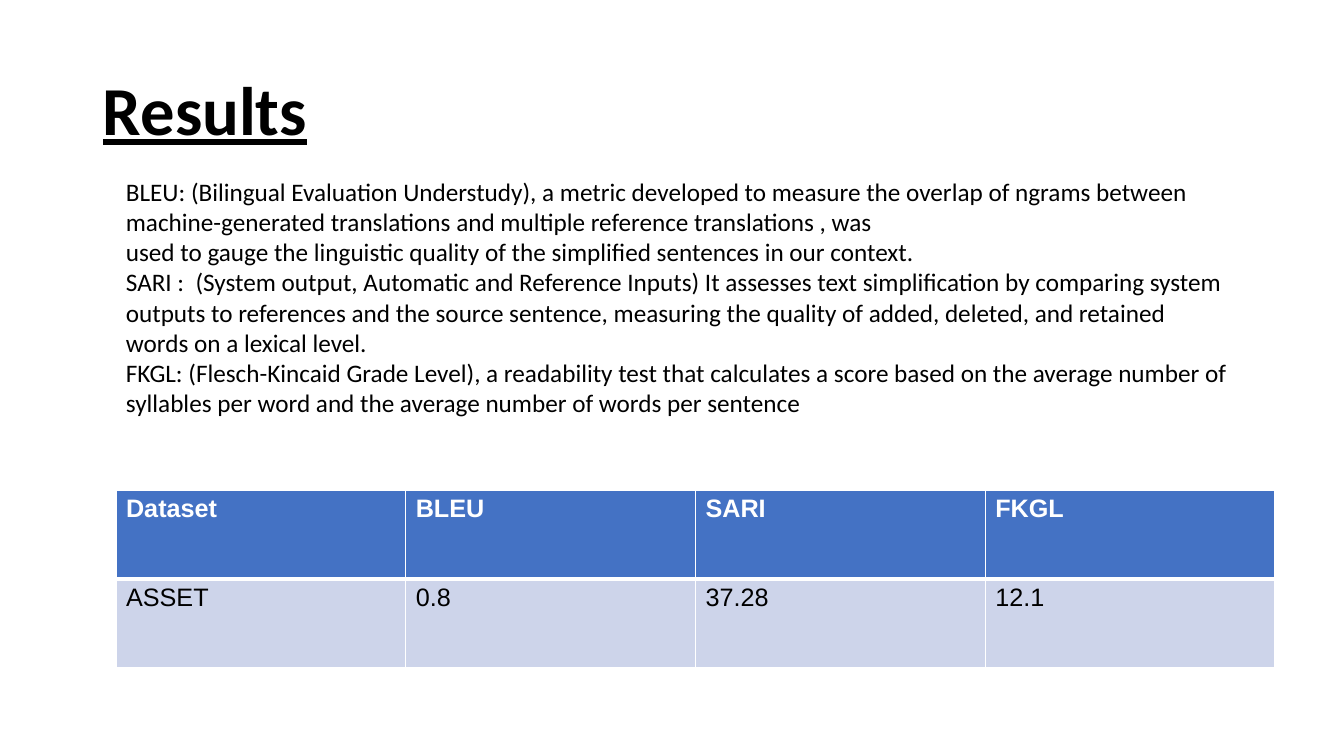
from lxml import etree
from pptx import Presentation, util as u
from pptx.dml.color import RGBColor
from pptx.enum import text
from pptx.oxml.ns import qn

TITLE = "Results"
METRICS = [
    "BLEU: (Bilingual Evaluation Understudy), a metric developed to measure the overlap of ngrams "
    "between machine-generated translations and multiple reference translations , was",
    "used to gauge the linguistic quality of the simplified sentences in our context.",
    "SARI :  (System output, Automatic and Reference Inputs) It assesses text simplification by "
    "comparing system outputs to references and the source sentence, measuring the quality of "
    "added, deleted, and retained words on a lexical level.",
    "FKGL: (Flesch-Kincaid Grade Level), a readability test that calculates a score based on the "
    "average number of syllables per word and the average number of words per sentence",
]
SCORES = [
    ["Dataset", "BLEU", "SARI", "FKGL"],
    ["ASSET", "0.8", "37.28", "12.1"],
]
COLORS = {"black": "000000", "white": "FFFFFF", "header": "4472C4", "body": "CDD4EA"}

SLIDE = (1344, 756)
TITLE_BOX = (93, 40, 1159, 146)
METRICS_BOX = (116, 171, 1125, 254)
TABLE_BOX = (116, 490, 1159, 178)
EMU_PER_PX = 12192000 / SLIDE[0]


def px(*lengths):
    return [u.Emu(round(n * EMU_PER_PX)) for n in lengths]


def write(tf, lines, size=18, font="Calibri", color="black", bold=False,
          underline=False, spacing=None):
    for i, line in enumerate(lines):
        p = tf.paragraphs[0] if i == 0 else tf.add_paragraph()
        p.line_spacing = spacing
        r = p.add_run()
        r.text = line
        r.font.size, r.font.name = u.Pt(size), font
        r.font.bold, r.font.underline = bold, underline
        r.font.color.rgb = RGBColor.from_string(COLORS[color])


def add_text(s, box, lines, anchor=text.MSO_ANCHOR.TOP, **fmt):
    tf = s.shapes.add_textbox(*px(*box)).text_frame
    tf.word_wrap = True
    tf.vertical_anchor = anchor
    write(tf, lines, **fmt)


def set_borders(cell, **widths):
    """Draw white cell borders; widths are points keyed by L, R, T and B."""
    tcPr = cell._tc.get_or_add_tcPr()
    for i, (side, width) in enumerate(widths.items()):
        ln = etree.Element(qn(f"a:ln{side}"), w=str(u.Pt(width)))
        fill = etree.SubElement(ln, qn("a:solidFill"))
        etree.SubElement(fill, qn("a:srgbClr"), val=COLORS["white"])
        tcPr.insert(i, ln)


def add_scores(s):
    table = s.shapes.add_table(len(SCORES), len(SCORES[0]), *px(*TABLE_BOX)).table
    for i, row in enumerate(SCORES):
        header = i == 0
        for j, value in enumerate(row):
            cell = table.cell(i, j)
            cell.fill.solid()
            cell.fill.fore_color.rgb = RGBColor.from_string(COLORS["header" if header else "body"])
            write(cell.text_frame, [value], font="Arial", bold=header,
                  color="white" if header else "black")
            set_borders(cell, L=1, R=1, T=1 if header else 3, B=3 if header else 1)


def main():
    prs = Presentation()
    prs.slide_width, prs.slide_height = px(*SLIDE)
    s = prs.slides.add_slide(prs.slide_layouts[6])
    add_text(s, TITLE_BOX, [TITLE], anchor=text.MSO_ANCHOR.MIDDLE, size=49,
             bold=True, underline=True, spacing=0.9)
    add_scores(s)
    add_text(s, METRICS_BOX, METRICS)
    prs.save("out.pptx")


if __name__ == "__main__":
    main()
